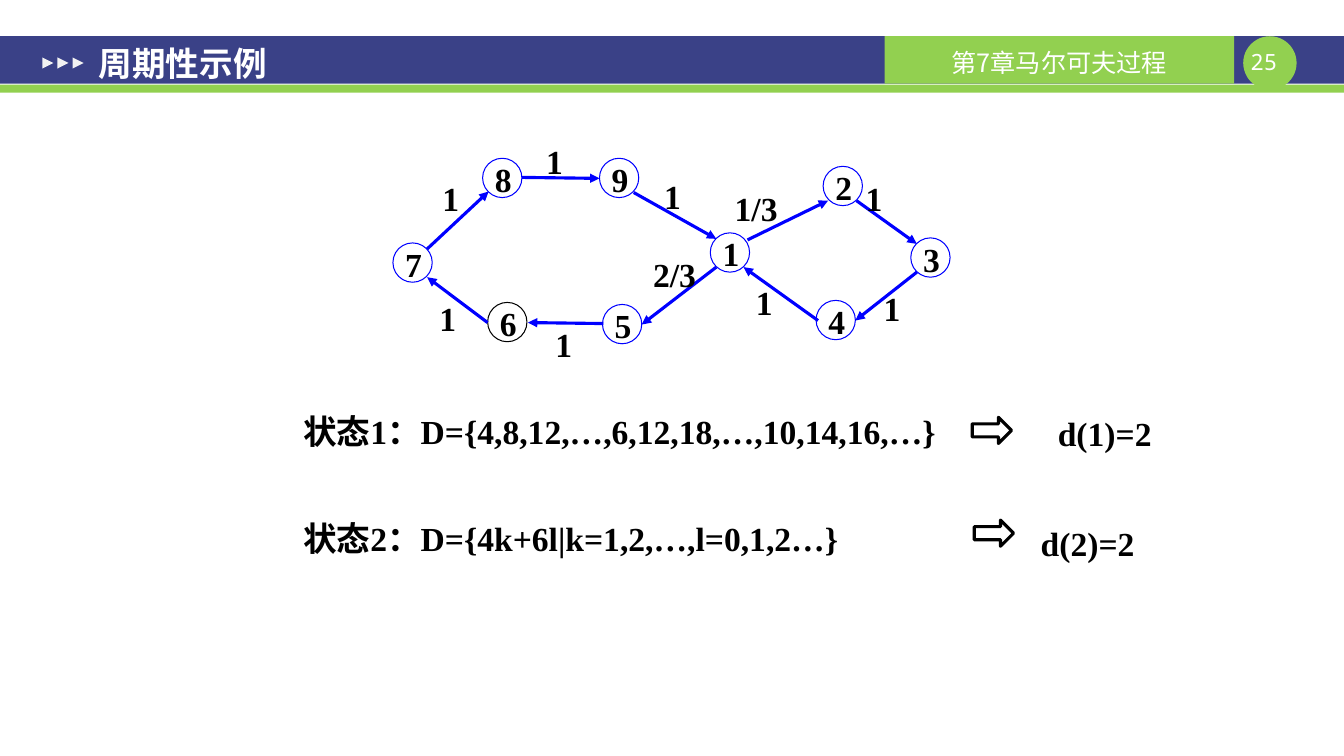
from lxml.etree import SubElement
from pptx import Presentation
from pptx.dml.color import RGBColor
from pptx.enum.shapes import MSO_CONNECTOR, MSO_SHAPE
from pptx.enum.text import MSO_ANCHOR, PP_ALIGN
from pptx.oxml.ns import qn
from pptx.util import Inches, Pt

NAVY, GREEN, BLUE = "3A4187", "92D050", "0000FF"
BLACK, WHITE, PALE = "000000", "FFFFFF", "F2F2F2"
SERIF, SANS, MONO = "Times New Roman", "Noto Sans CJK SC", "Noto Sans Mono"
NODE_SIZE = 0.39

# state: left, top, outline
STATES = {
    "1": (7.05, 2.31, BLUE),
    "2": (8.17, 1.65, BLUE),
    "3": (9.04, 2.36, BLUE),
    "4": (8.10, 2.98, BLUE),
    "5": (5.98, 3.02, BLUE),
    "6": (4.84, 3.00, BLACK),
    "7": (3.90, 2.41, BLUE),
    "8": (4.79, 1.57, BLUE),
    "9": (5.95, 1.57, BLUE),
}
# start, end, probability, left and top of its label
TRANSITIONS = [
    ((7.42, 2.38), (8.22, 1.99), "1/3", (7.16, 1.82)),
    ((8.50, 1.99), (9.10, 2.42), "1", (8.49, 1.72)),
    ((9.10, 2.70), (8.49, 3.18), "1", (8.67, 2.81)),
    ((8.12, 3.18), (7.38, 2.65), "1", (7.40, 2.75)),
    ((7.11, 2.65), (6.37, 3.22), "2/3", (6.35, 2.47)),
    ((5.99, 3.21), (5.24, 3.20), "1", (5.41, 3.16)),
    ((4.84, 3.20), (4.24, 2.75), "1", (4.26, 2.91)),
    ((4.24, 2.47), (4.85, 1.90), "1", (4.29, 1.72)),
    ((5.18, 1.76), (5.95, 1.77), "1", (5.32, 1.35)),
    ((6.29, 1.91), (7.11, 2.37), "1", (6.49, 1.70)),
]


def rgb(value):
    return RGBColor.from_string(value)


def write(shape, text, size=24, font=SERIF, color=BLACK, bold=True,
          align=PP_ALIGN.CENTER, anchor=MSO_ANCHOR.TOP,
          insets=(0, 0, 0, 0), wrap=True, spacing=None):
    frame = shape.text_frame
    frame.word_wrap = wrap
    frame.vertical_anchor = anchor
    (frame.margin_left, frame.margin_top,
     frame.margin_right, frame.margin_bottom) = map(Inches, insets)
    paragraph = frame.paragraphs[0]
    paragraph.text = text
    paragraph.alignment = align
    if spacing:
        paragraph.line_spacing = spacing
    style = paragraph.font
    style.size, style.bold, style.name = Pt(size), bold, font
    style.color.rgb = rgb(color)
    # Chinese characters take their own typeface
    defaults = paragraph._p.pPr.find(qn("a:defRPr"))
    SubElement(defaults, qn("a:ea")).set("typeface", SANS)


def add_text(slide, box, text, **style):
    write(slide.shapes.add_textbox(*map(Inches, box)), text, **style)


def add_figure(slide, kind, box, fill=None, line=None, width=0.75):
    figure = slide.shapes.add_shape(kind, *map(Inches, box))
    figure.shadow.inherit = False
    if fill:
        figure.fill.solid()
        figure.fill.fore_color.rgb = rgb(fill)
    else:
        figure.fill.background()
    if line:
        figure.line.color.rgb = rgb(line)
        figure.line.width = Pt(width)
    else:
        figure.line.fill.background()
    return figure


def add_arrow(slide, start, end):
    arrow = slide.shapes.add_connector(
        MSO_CONNECTOR.STRAIGHT, *map(Inches, start + end))
    arrow.line.color.rgb = rgb(BLUE)
    arrow.line.width = Pt(2.25)
    SubElement(arrow.line._get_or_add_ln(), qn("a:tailEnd")).set("type", "triangle")
    SubElement(arrow._element.spPr, qn("a:effectLst"))


def add_header(slide):
    add_figure(slide, MSO_SHAPE.RECTANGLE, (0, 0.36, 13.34, 0.47), NAVY)
    add_figure(slide, MSO_SHAPE.RECTANGLE, (0, 0.84, 13.34, 0.08), GREEN)
    add_figure(slide, MSO_SHAPE.OVAL, (12.34, 0.36, 0.53, 0.53), GREEN)
    add_text(slide, (12.28, 0.48, 0.53, 0.27), "25", size=16, font=MONO,
             color=WHITE, bold=False)
    chapter = add_figure(slide, MSO_SHAPE.RECTANGLE, (8.78, 0.36, 3.47, 0.47), GREEN)
    write(chapter, "第7章马尔可夫过程", size=18, font=SANS, color=WHITE, bold=False,
          anchor=MSO_ANCHOR.MIDDLE, insets=(0.1, 0.04, 0.1, 0))
    for i in range(3):
        marker = add_figure(slide, MSO_SHAPE.ISOSCELES_TRIANGLE,
                            (0.42 + 0.15 * i, 0.57, 0.11, 0.11), PALE)
        marker.rotation = 90
    add_text(slide, (0.85, 0.39, 5.83, 0.47), "周期性示例", font="Arial",
             color=WHITE, align=PP_ALIGN.LEFT, anchor=MSO_ANCHOR.MIDDLE,
             insets=(0.13, 0.07, 0.13, 0.07))


def add_chain(slide):
    for state, (left, top, outline) in STATES.items():
        node = add_figure(slide, MSO_SHAPE.OVAL,
                          (left, top, NODE_SIZE, NODE_SIZE), line=outline)
        write(node, state, anchor=MSO_ANCHOR.MIDDLE, wrap=False,
              insets=(0.02, 0.02, 0, 0))
    for start, end, probability, place in TRANSITIONS:
        add_arrow(slide, start, end)
        width = 0.37 if probability == "1" else 0.69
        add_text(slide, (*place, width, 0.5), probability, wrap=False,
                 insets=(0.1, 0.05, 0.1, 0.05))


def add_conclusion(slide, states_box, states, arrow_place, period_box, period):
    for box, text in ((states_box, states), (period_box, period)):
        add_text(slide, box, text, align=PP_ALIGN.LEFT, spacing=1.5)
    add_figure(slide, MSO_SHAPE.RIGHT_ARROW, (*arrow_place, 0.39, 0.26),
               line=BLACK, width=2.25)


def main():
    deck = Presentation()
    deck.slide_width, deck.slide_height = Inches(13.34), Inches(7.5)
    slide = deck.slides.add_slide(deck.slide_layouts[6])

    # Title band and chapter
    add_header(slide)
    # Markov chain with nine states
    add_chain(slide)
    # Return times and periods
    add_conclusion(slide, (3.01, 3.88, 6.43, 0.64),
                   "状态1：D={4,8,12,…,6,12,18,…,10,14,16,…}",
                   (9.65, 4.14), (10.5, 3.9, 1.13, 0.53), "d(1)=2")
    add_conclusion(slide, (3.01, 4.94, 6.43, 0.64),
                   "状态2：D={4k+6l|k=1,2,…,l=0,1,2…}",
                   (9.67, 5.16), (10.33, 4.99, 1.13, 0.53), "d(2)=2")
    deck.save("out.pptx")


if __name__ == "__main__":
    main()
